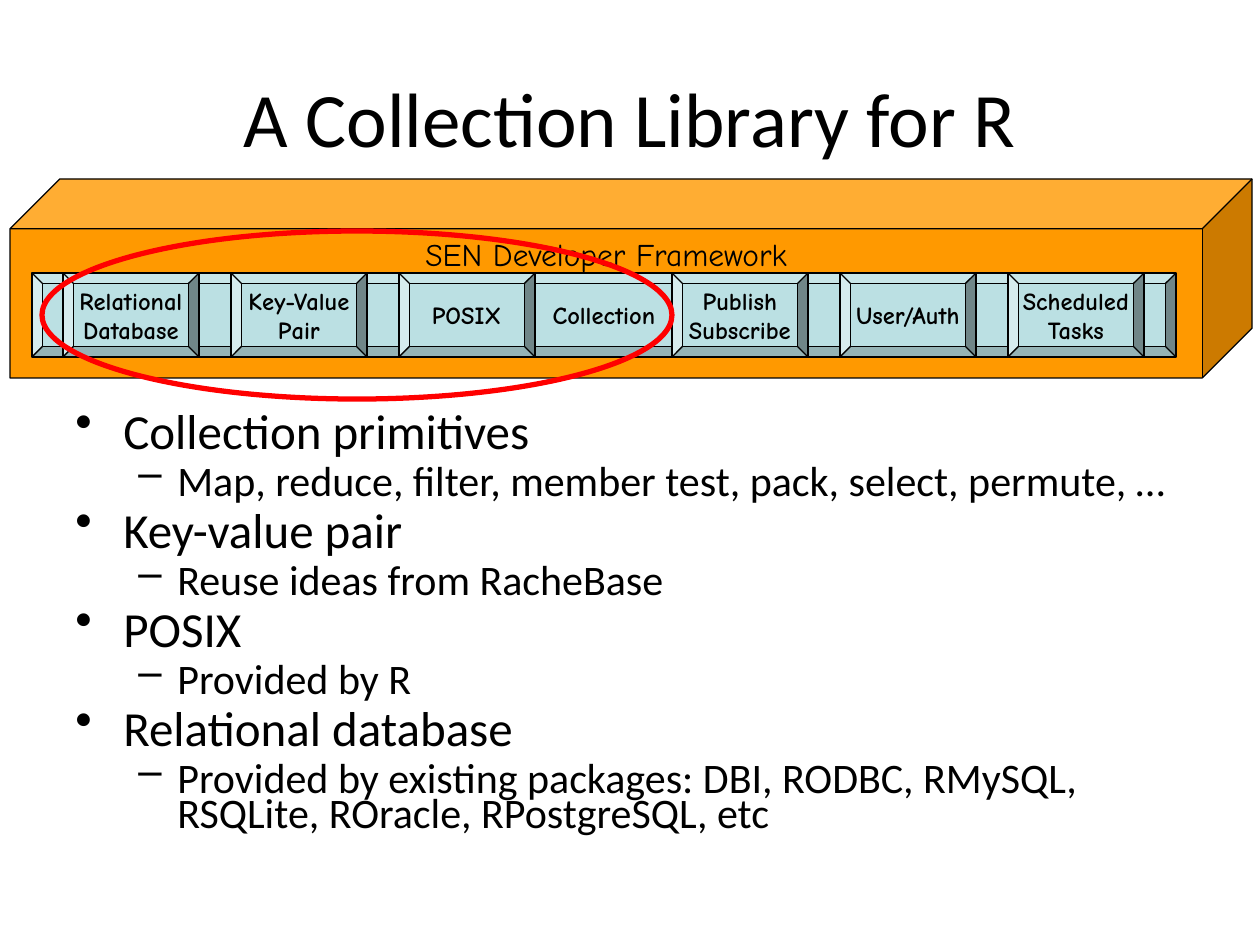
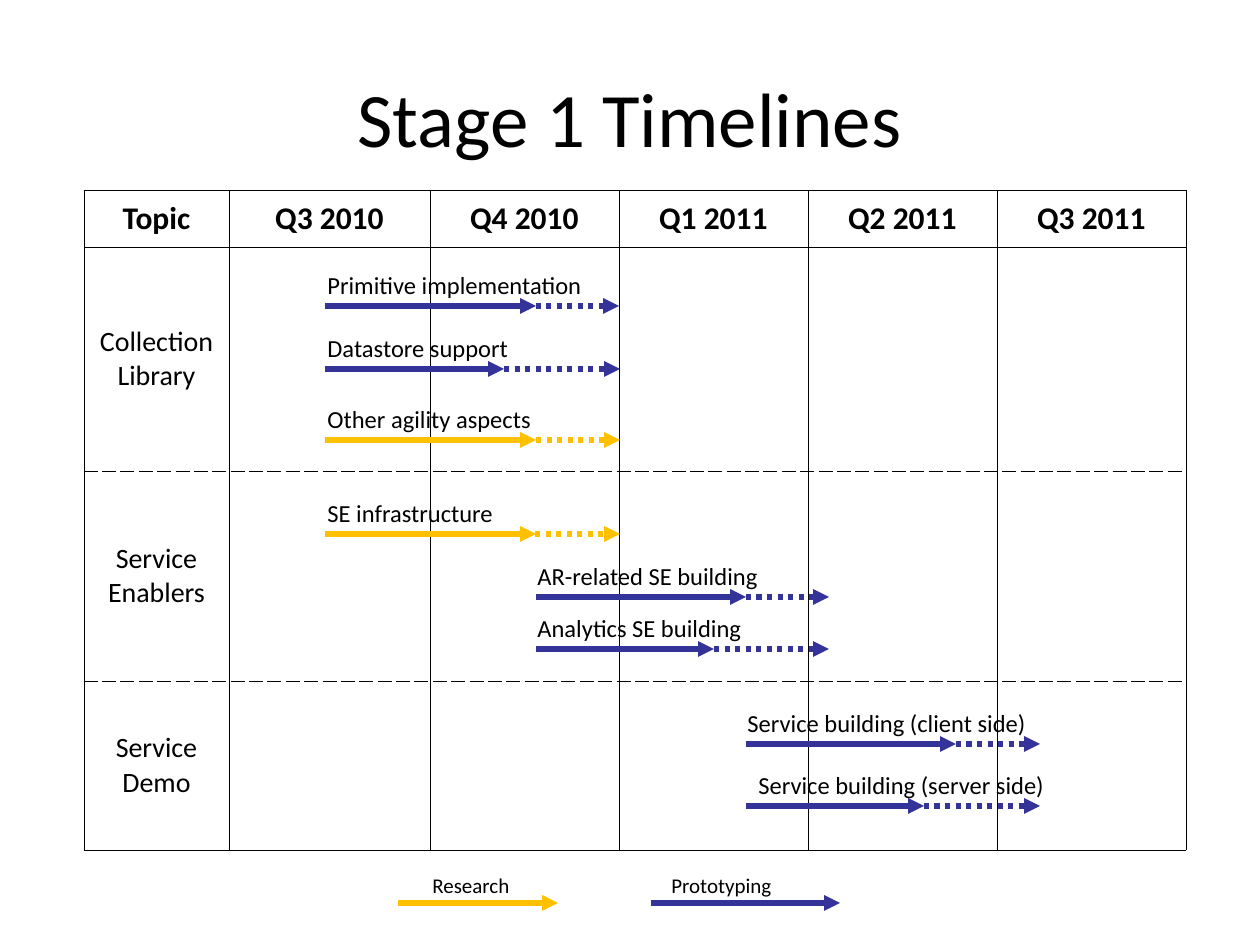
from pptx import Presentation
from pptx.dml.color import RGBColor
from pptx.enum.dml import MSO_LINE
from pptx.enum.shapes import MSO_CONNECTOR, MSO_SHAPE
from pptx.enum.text import MSO_ANCHOR, MSO_AUTO_SIZE, PP_ALIGN
from pptx.oxml.ns import qn
from pptx.util import Emu, Pt
from lxml import etree

CENTER, LEFT = PP_ALIGN.CENTER, PP_ALIGN.LEFT
TOP, MIDDLE = MSO_ANCHOR.TOP, MSO_ANCHOR.MIDDLE
CUBE, BEVEL, OVAL = MSO_SHAPE.CUBE, MSO_SHAPE.BEVEL, MSO_SHAPE.OVAL
DOTTED = MSO_LINE.ROUND_DOT

# Shared look
PX_PER_INCH = 126
BODY_FONT, BOX_FONT = "Calibri", "Comic Neue"
BLACK, ORANGE, TEAL, RED = "000000", "FF9900", "BBE0E3", "FF0000"
PROTOTYPING, RESEARCH = "333399", "FFC000"
TITLE_BOX = (63, 38, 1134, 158)

# Slide 1 content
FRAMEWORK_BOX = (10, 179, 1242, 199)
COLLECTION_BOX = (32, 273, 1144, 84)
HIGHLIGHT_BOX = (42, 231, 630, 168)
MODULE_WIDTH, MODULE_STEP = 136, 168
MODULE_GROUPS = [
    (63, [["Relational", "Database"], ["Key-Value", "Pair"], ["POSIX"]]),
    (672, [["Publish", "Subscribe"], ["User/Auth"], ["Scheduled", "Tasks"]]),
]
OUTLINE_BOX = (63, 410, 1134, 441)
OUTLINE = [
    ("Collection primitives", "Map, reduce, filter, member test, pack, select, permute, …"),
    ("Key-value pair", "Reuse ideas from RacheBase"),
    ("POSIX", "Provided by R"),
    ("Relational database",
     "Provided by existing packages: DBI, RODBC, RMySQL, RSQLite, ROracle, RPostgreSQL, etc"),
]
# Per level: bullet, left margin, hanging indent, size, space before
OUTLINE_LEVELS = [("•", 48, 48, 28, 7), ("–", 102, 39, 24, 6)]

# Slide 2 content
TABLE_ORIGIN = (84, 190)
COLUMN_WIDTHS = [145, 201, 189, 189, 189, 189]
ROW_HEIGHTS = [57, 224, 210, 169]
HEADINGS = ["Topic", "Q3 2010", "Q4 2010", "Q1 2011", "Q2 2011", "Q3 2011"]
TOPICS = ["Collection Library", "Service Enablers", "Service Demo"]
# Label, label left, label width, start, solid end, dotted start, end, y, colour
TASKS = [
    ("Primitive implementation", 315, 295, 325, 536, 441, 619, 306, PROTOTYPING),
    ("Datastore support", 315, 421, 325, 504, 504, 620, 369, PROTOTYPING),
    ("Other agility aspects", 315, 421, 325, 536, 536, 620, 440, RESEARCH),
    ("SE infrastructure", 315, 421, 325, 536, 514, 620, 534, RESEARCH),
    ("AR-related SE building", 525, 295, 536, 746, 746, 829, 597, PROTOTYPING),
    ("Analytics SE building", 525, 421, 536, 714, 714, 829, 649, PROTOTYPING),
    ("Service building (client side)", 735, 347, 746, 956, 956, 1040, 744, PROTOTYPING),
    ("Service building (server side)", 746, 326, 746, 924, 924, 1040, 806, PROTOTYPING),
]
LABEL_RISE, LABEL_HEIGHT = 42, 42
# Label, label left, label width, arrow start, arrow end, colour
LEGEND = [
    ("Research", 420, 102, 398, 558, RESEARCH),
    ("Prototyping", 659, 126, 651, 840, PROTOTYPING),
]
LEGEND_Y, LEGEND_RISE, LEGEND_HEIGHT = 903, 37, 38


def px(value):
    return Emu(round(value * 914400 / PX_PER_INCH))


def color(hex_string):
    return RGBColor.from_string(hex_string)


def add_run(paragraph, text, size, font=BODY_FONT, bold=False):
    run = paragraph.add_run()
    run.text = text
    run.font.name, run.font.size, run.font.bold = font, Pt(size), bold
    run.font.color.rgb = color(BLACK)


def write_lines(frame, lines, size, font=BODY_FONT, bold=False, align=LEFT):
    for index, line in enumerate(lines):
        paragraph = frame.add_paragraph() if index else frame.paragraphs[0]
        paragraph.alignment = align
        add_run(paragraph, line, size, font, bold)


def add_titled_slide(presentation, title):
    slide = presentation.slides.add_slide(presentation.slide_layouts[5])
    shape = slide.shapes.title
    shape.left, shape.top, shape.width, shape.height = map(px, TITLE_BOX)
    shape.text_frame.auto_size = MSO_AUTO_SIZE.NONE
    shape.text_frame.vertical_anchor = MIDDLE
    write_lines(shape.text_frame, [title], 44, align=CENTER)
    return slide


def add_box(slide, preset, box, fill, line, line_width):
    shape = slide.shapes.add_shape(preset, *map(px, box))
    shape.shadow.inherit = False
    if fill:
        shape.fill.solid()
        shape.fill.fore_color.rgb = color(fill)
    else:
        shape.fill.background()
    shape.line.color.rgb = color(line)
    shape.line.width = Pt(line_width)
    return shape


def add_block(slide, preset, box, fill, lines, size, bold, anchor, adjustment):
    shape = add_box(slide, preset, box, fill, BLACK, 0.75)
    shape.adjustments[0] = adjustment
    frame = shape.text_frame
    frame.word_wrap = False
    frame.vertical_anchor = anchor
    write_lines(frame, lines, size, BOX_FONT, bold, CENTER)


def add_module(slide, box, lines):
    add_block(slide, BEVEL, box, TEAL, lines, 14, True, MIDDLE, 0.125)


def add_label(slide, box, text, size, wrap):
    frame = slide.shapes.add_textbox(*map(px, box)).text_frame
    frame.word_wrap = wrap
    write_lines(frame, [text], size)


def add_arrow(slide, start, end, y, line_color, dash=None):
    connector = slide.shapes.add_connector(
        MSO_CONNECTOR.STRAIGHT, px(start), px(y), px(end), px(y))
    connector.line.color.rgb = color(line_color)
    connector.line.width = Pt(3)
    if dash:
        connector.line.dash_style = dash
    properties = connector._element.spPr
    etree.SubElement(properties.find(qn("a:ln")), qn("a:tailEnd"), type="triangle")
    etree.SubElement(properties, qn("a:effectLst"))


def add_solid_color(parent, tag, hex_string):
    holder = etree.SubElement(parent, qn(tag))
    etree.SubElement(holder, qn("a:srgbClr"), val=hex_string)


def format_bullet(paragraph, level):
    bullet, margin, hanging, _, space = OUTLINE_LEVELS[level]
    paragraph.level = level
    properties = paragraph._p.get_or_add_pPr()
    properties.set("marL", str(px(margin)))
    properties.set("indent", str(-px(hanging)))
    add_solid_color(properties, "a:buClr", BLACK)
    etree.SubElement(properties, qn("a:buChar"), char=bullet)
    paragraph.line_spacing = 0.7
    return space


def add_outline(slide):
    frame = slide.shapes.add_textbox(*map(px, OUTLINE_BOX)).text_frame
    frame.word_wrap = True
    entries = [(level, text) for pair in OUTLINE for level, text in enumerate(pair)]
    for index, (level, text) in enumerate(entries):
        paragraph = frame.add_paragraph() if index else frame.paragraphs[0]
        space = format_bullet(paragraph, level)
        paragraph.space_before = Pt(space if index else 0)
        add_run(paragraph, text, OUTLINE_LEVELS[level][3])


def set_borders(cell, dashed_sides):
    properties = cell._tc.get_or_add_tcPr()
    for index, side in enumerate("LRTB"):
        line = etree.Element(qn("a:ln" + side), w=str(Pt(0.45)))
        add_solid_color(line, "a:solidFill", BLACK)
        dash = "dash" if side in dashed_sides else "solid"
        etree.SubElement(line, qn("a:prstDash"), val=dash)
        properties.insert(index, line)


def add_timeline_table(slide):
    size = (sum(COLUMN_WIDTHS), sum(ROW_HEIGHTS))
    table = slide.shapes.add_table(
        len(ROW_HEIGHTS), len(COLUMN_WIDTHS), *map(px, TABLE_ORIGIN + size)).table
    table.first_row = table.horz_banding = False
    for column, width in zip(table.columns, COLUMN_WIDTHS):
        column.width = px(width)
    for row, height in zip(table.rows, ROW_HEIGHTS):
        row.height = px(height)

    # Dashed rules separate the topics
    dashed_by_row = ["", "B", "TB", "T"]
    for row, dashed_sides in zip(table.rows, dashed_by_row):
        for cell in row.cells:
            cell.fill.background()
            cell.vertical_anchor = MIDDLE
            set_borders(cell, dashed_sides)
    for column, heading in enumerate(HEADINGS):
        write_lines(table.cell(0, column).text_frame, [heading], 18, bold=True, align=CENTER)
    for row, topic in enumerate(TOPICS, start=1):
        write_lines(table.cell(row, 0).text_frame, [topic], 16, align=CENTER)


def build_library_slide(presentation):
    slide = add_titled_slide(presentation, "A Collection Library for R")
    add_outline(slide)
    add_block(slide, CUBE, FRAMEWORK_BOX, ORANGE, ["SEN Developer Framework"],
              18, False, TOP, 0.25)
    add_module(slide, COLLECTION_BOX, ["Collection"])
    _, top, _, height = COLLECTION_BOX
    for first_left, modules in MODULE_GROUPS:
        for index, lines in enumerate(modules):
            left = first_left + index * MODULE_STEP
            add_module(slide, (left, top, MODULE_WIDTH, height), lines)
    add_box(slide, OVAL, HIGHLIGHT_BOX, None, RED, 3)


def build_timeline_slide(presentation):
    slide = add_titled_slide(presentation, "Stage 1 Timelines")
    add_timeline_table(slide)
    for text, left, width, start, end, line_color in LEGEND:
        add_arrow(slide, start, end, LEGEND_Y, line_color)
        add_label(slide, (left, LEGEND_Y - LEGEND_RISE, width, LEGEND_HEIGHT), text, 12, False)
    for text, left, width, start, solid_end, dotted_start, end, y, line_color in TASKS:
        add_arrow(slide, start, solid_end, y, line_color)
        add_label(slide, (left, y - LABEL_RISE, width, LABEL_HEIGHT), text, 14, True)
        add_arrow(slide, dotted_start, end, y, line_color, DOTTED)


def main():
    presentation = Presentation()
    presentation.slide_width, presentation.slide_height = px(1260), px(945)
    build_library_slide(presentation)
    build_timeline_slide(presentation)
    presentation.save("out.pptx")


if __name__ == "__main__":
    main()
